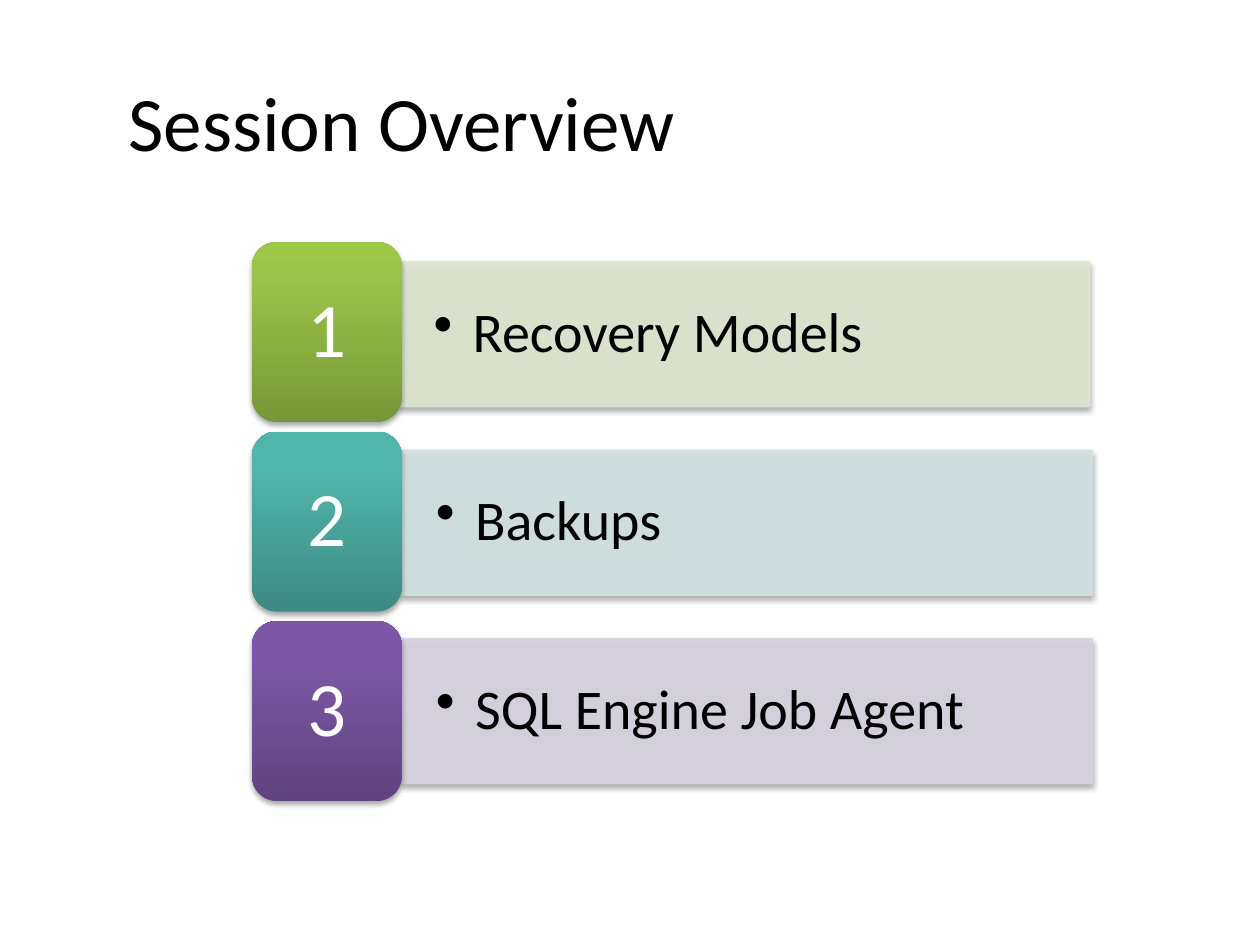
from dataclasses import dataclass

from lxml import etree
from pptx import Presentation
from pptx.dml.color import RGBColor
from pptx.enum.shapes import MSO_SHAPE
from pptx.enum.text import MSO_ANCHOR, PP_ALIGN
from pptx.oxml.ns import qn
from pptx.util import Cm, Pt

RECTANGLE = MSO_SHAPE.RECTANGLE
ROUNDED = MSO_SHAPE.ROUNDED_RECTANGLE
MIDDLE = MSO_ANCHOR.MIDDLE
LEFT, CENTER = PP_ALIGN.LEFT, PP_ALIGN.CENTER


@dataclass(frozen=True)
class Theme:
    font: str = "Calibri"
    black: str = "000000"
    white: str = "FFFFFF"
    title_size: int = 44
    number_size: int = 44
    topic_size: int = 32
    line_spacing: float = 0.9
    bar_opacity: int = 90
    shadow_opacity: int = 35
    bars: tuple = ("DEE7D1", "D2E3E2", "D8D3E0")
    tiles: tuple = (
        ("779737", "9BC348", "9DC746"),
        ("3D8B83", "50B5AA", "4EB8AC"),
        ("5F4480", "7B58A6", "7C57A8"),
    )


THEME = Theme()
TOPICS = ("Recovery Models", "Backups", "SQL Engine Job Agent")
BAR_LEFTS = (8.05, 8.1, 8.1)
BAR_TOP, BAR_PITCH = 5.28, 3.8
TILE_TOP, TILE_PITCH = 4.88, 3.82
GRADIENT_STOPS = (0, 80, 100)


def add_child(parent, tag, **attributes):
    child = etree.SubElement(parent, qn(tag))
    for name, value in attributes.items():
        child.set(name, str(value))
    return child


def add_color(parent, color, opacity=100):
    element = add_child(parent, "a:srgbClr", val=color)
    if opacity < 100:
        add_child(element, "a:alpha", val=opacity * 1000)


def set_transparent(parent, opacity):
    color = parent.find(qn("a:solidFill")).find(qn("a:srgbClr"))
    add_child(color, "a:alpha", val=opacity * 1000)


def add_shadow(shape):
    effects = add_child(shape._element.spPr, "a:effectLst")
    shadow = add_child(
        effects, "a:outerShdw", blurRad=Pt(3.1), dist=Pt(1.8),
        dir=90 * 60000, rotWithShape=0,
    )
    add_color(shadow, THEME.black, THEME.shadow_opacity)


def add_gradient(shape, colors):
    gradient = add_child(shape._element.spPr, "a:gradFill", rotWithShape=1)
    stops = add_child(gradient, "a:gsLst")
    for position, color in zip(GRADIENT_STOPS, colors):
        add_color(add_child(stops, "a:gs", pos=position * 1000), color)
    add_child(gradient, "a:lin", ang=270 * 60000, scaled=0)


def set_text(shape, text, size, color, alignment, margins=None):
    frame = shape.text_frame
    frame.text = text
    frame.word_wrap = True
    frame.vertical_anchor = MIDDLE
    if margins:
        frame.margin_left = frame.margin_right = Cm(margins[0])
        frame.margin_top = frame.margin_bottom = Cm(margins[1])
    paragraph = frame.paragraphs[0]
    paragraph.alignment = alignment
    font = paragraph.runs[0].font
    font.name = THEME.font
    font.size = Pt(size)
    font.color.rgb = RGBColor.from_string(color)
    return paragraph


def add_bullet(paragraph):
    properties = paragraph._p.get_or_add_pPr()
    properties.set("marL", str(Cm(0.79)))
    properties.set("indent", str(-Cm(0.79)))
    add_child(properties, "a:buChar", char="•")


def add_title(slide, text):
    title = slide.shapes.add_textbox(Cm(2.34), Cm(0.84), Cm(22.43), Cm(3.18))
    set_text(title, text, THEME.title_size, THEME.black, LEFT)


def add_topic_bar(slide, left, top, text, color):
    bar = slide.shapes.add_shape(
        RECTANGLE, Cm(left), Cm(top), Cm(13.92), Cm(2.92))
    bar.fill.solid()
    bar.fill.fore_color.rgb = RGBColor.from_string(color)
    bar.line.color.rgb = RGBColor.from_string(color)
    bar.line.width = Pt(0.75)
    properties = bar._element.spPr
    for parent in (properties, properties.find(qn("a:ln"))):
        set_transparent(parent, THEME.bar_opacity)
    add_shadow(bar)
    paragraph = set_text(
        bar, text, THEME.topic_size, THEME.black, LEFT, (0.69, 0.36))
    paragraph.line_spacing = THEME.line_spacing
    add_bullet(paragraph)


def add_number_tile(slide, top, number, colors):
    tile = slide.shapes.add_shape(
        ROUNDED, Cm(5.08), Cm(top), Cm(3.02), Cm(3.63))
    add_gradient(tile, colors)
    tile.line.fill.background()
    add_shadow(tile)
    paragraph = set_text(
        tile, str(number), THEME.number_size, THEME.white, CENTER, (0.46, 0.23))
    paragraph.line_spacing = THEME.line_spacing


def main():
    presentation = Presentation()
    presentation.slide_width = Cm(25.4)
    presentation.slide_height = Cm(19.05)
    slide = presentation.slides.add_slide(presentation.slide_layouts[6])
    add_title(slide, "Session Overview")
    rows = zip(TOPICS, BAR_LEFTS, THEME.bars, THEME.tiles)
    for index, (topic, left, bar_color, tile_colors) in enumerate(rows):
        add_topic_bar(
            slide, left, BAR_TOP + index * BAR_PITCH, topic, bar_color)
        add_number_tile(
            slide, TILE_TOP + index * TILE_PITCH, index + 1, tile_colors)
    presentation.save("out.pptx")


if __name__ == "__main__":
    main()
